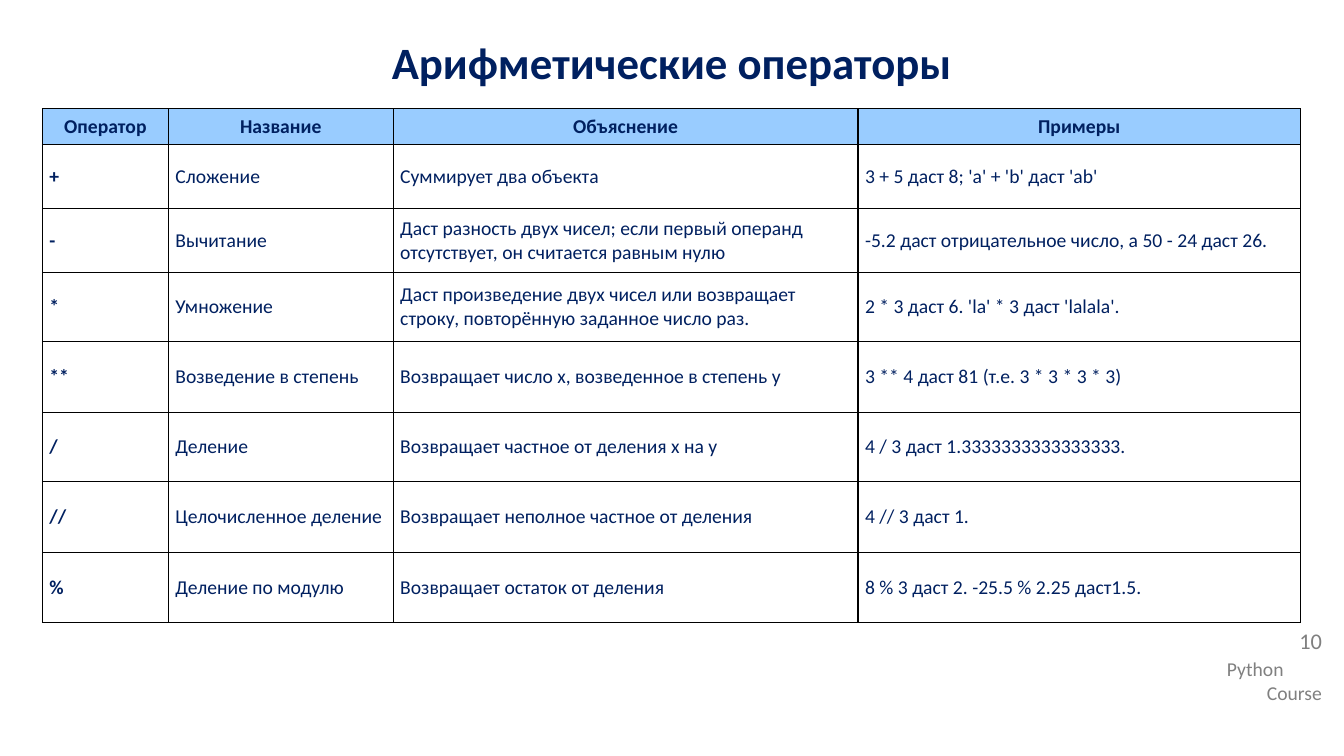
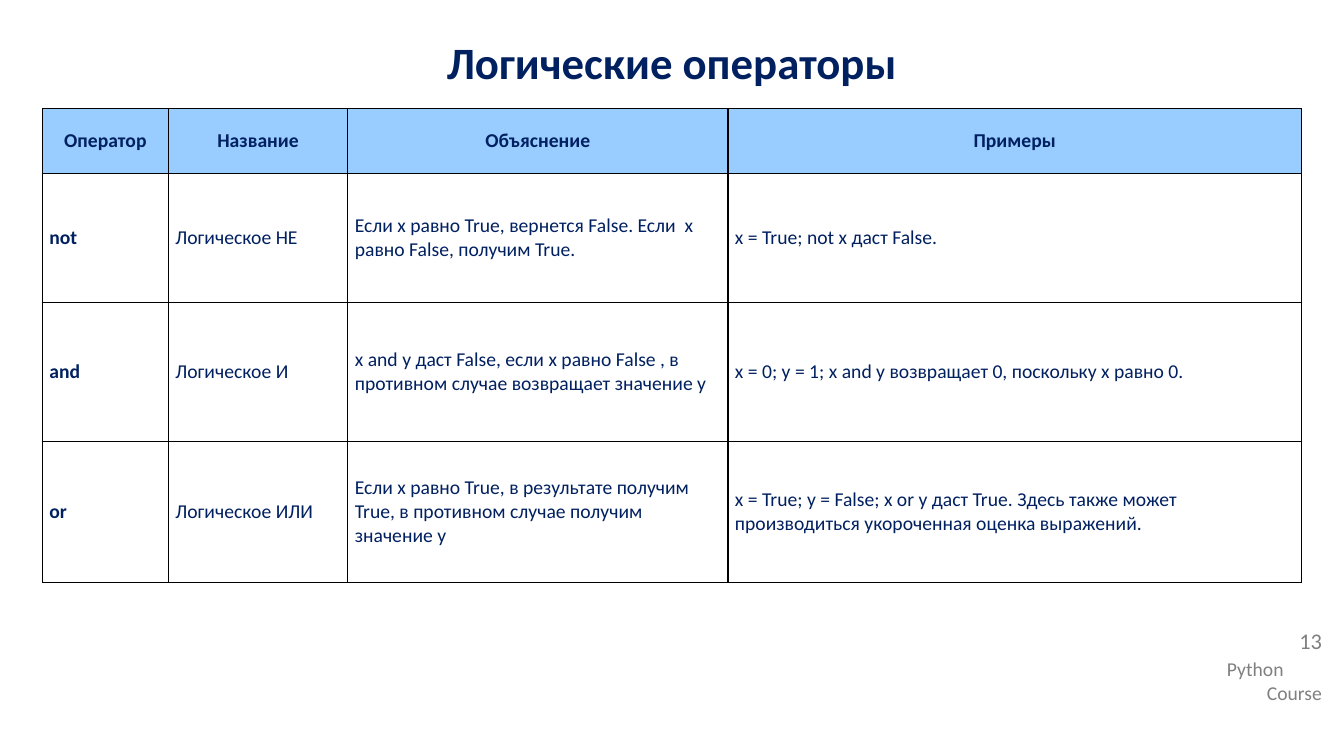
from dataclasses import dataclass

from lxml import etree
from pptx import Presentation
from pptx.dml.color import RGBColor
from pptx.enum import text
from pptx.oxml.ns import qn
from pptx.util import Inches, Pt


@dataclass(frozen=True)
class Theme:
    font: str = "Calibri"
    navy: str = "002060"
    gray: str = "808080"
    header: str = "99CCFF"
    border: str = "000000"
    title_size: int = 32
    number_size: int = 16
    body_size: int = 14


theme = Theme()
LEFT, CENTER, RIGHT, JUSTIFY = (
    text.PP_ALIGN.LEFT, text.PP_ALIGN.CENTER, text.PP_ALIGN.RIGHT, text.PP_ALIGN.JUSTIFY)
MIDDLE, TOP = text.MSO_ANCHOR.MIDDLE, text.MSO_ANCHOR.TOP


def write(frame, content, size=theme.body_size, color=theme.navy, bold=False,
          alignments=(LEFT,), anchor=TOP, line_spacing=None, space_after=None):
    """Fill a text frame; each line takes its own alignment."""
    frame.word_wrap = True
    frame.vertical_anchor = anchor
    frame.text = content
    for paragraph, alignment in zip(frame.paragraphs, alignments):
        paragraph.alignment = alignment
        paragraph.line_spacing = line_spacing
        paragraph.space_after = space_after
        for run in paragraph.runs:
            run.font.name = theme.font
            run.font.size = Pt(size)
            run.font.bold = bold
            run.font.color.rgb = RGBColor.from_string(color)


def add_borders(cell):
    properties = cell._tc.get_or_add_tcPr()
    for side in ("a:lnL", "a:lnR", "a:lnT", "a:lnB"):
        line = etree.SubElement(properties, qn(side), w=str(Pt(1)))
        fill = etree.SubElement(line, qn("a:solidFill"))
        etree.SubElement(fill, qn("a:srgbClr"), val=theme.border)


# Content
headings = ("Оператор", "Название", "Объяснение", "Примеры")
pages = [
    {
        "title": "Арифметические операторы",
        "number": "10",
        "columns": (1.25, 2.23, 4.61, 4.39),
        "heights": (0.35, 0.64, 0.63, 0.69, 0.7, 0.69, 0.7, 0.7),
        "rows": [
            ("+", "Сложение", "Суммирует два объекта",
             "3 + 5 даст 8; 'a' + 'b' даст 'ab'"),
            ("-", "Вычитание",
             "Даст разность двух чисел; если первый операнд отсутствует, он считается равным нулю",
             "-5.2 даст отрицательное число, а 50 - 24 даст 26."),
            ("*", "Умножение",
             "Даст произведение двух чисел или возвращает строку, повторённую заданное число раз.",
             "2 * 3 даст 6. 'la' * 3 даст 'lalala'."),
            ("**", "Возведение в степень", "Возвращает число х, возведенное в степень y",
             "3 ** 4 даст 81 (т.е. 3 * 3 * 3 * 3)"),
            ("/", "Деление", "Возвращает частное от деления x на y",
             "4 / 3 даст 1.3333333333333333."),
            ("//", "Целочисленное деление", "Возвращает неполное частное от деления",
             "4 // 3 даст 1."),
            ("%", "Деление по модулю", "Возвращает остаток от деления",
             "8 % 3 даст 2. -25.5 % 2.25 даст1.5."),
        ],
    },
    {
        "title": "Логические операторы",
        "number": "13",
        "columns": (1.25, 1.78, 3.77, 5.69),
        "heights": (0.64, 1.28, 1.38, 1.4),
        "rows": [
            ("not", "Логическое НЕ",
             "Если x равно True, вернется False. Если  x равно False, получим True.",
             "x = True; not x даст False."),
            ("and", "Логическое И",
             "x and y даст False, если x равно False , в противном случае возвращает значение y",
             "x = 0; y = 1; x and y возвращает 0, поскольку x равно 0."),
            ("or", "Логическое ИЛИ",
             "Если x равно True, в результате получим True, в противном случае получим значение y",
             "x = True; y = False; x or y даст True. Здесь также может производиться "
             "укороченная оценка выражений."),
        ],
    },
]

presentation = Presentation()
presentation.slide_width = Inches(13.33)
presentation.slide_height = Inches(7.5)

for page in pages:
    slide = presentation.slides.add_slide(presentation.slide_layouts[6])

    # Footer, page number and title
    footer = slide.shapes.add_textbox(Inches(12.07), Inches(6.47), Inches(1.14), Inches(0.57))
    write(footer.text_frame, "Python\nCourse", color=theme.gray, alignments=(LEFT, RIGHT))
    number = slide.shapes.add_textbox(Inches(12.07), Inches(6.2), Inches(1.14), Inches(0.45))
    write(number.text_frame, page["number"], size=theme.number_size, color=theme.gray,
          alignments=(RIGHT,), line_spacing=0.9)
    title = slide.shapes.add_textbox(0, Inches(0.23), presentation.slide_width, Inches(0.76))
    write(title.text_frame, page["title"], size=theme.title_size, bold=True,
          alignments=(CENTER,), anchor=MIDDLE, space_after=Pt(5))

    # Operator table
    rows = [headings, *page["rows"]]
    table = slide.shapes.add_table(
        len(rows), len(headings), Inches(0.42), Inches(1.08),
        Inches(sum(page["columns"])), Inches(sum(page["heights"]))).table
    for column, width in zip(table.columns, page["columns"]):
        column.width = Inches(width)
    for row, height in zip(table.rows, page["heights"]):
        row.height = Inches(height)
    for row_index, row in enumerate(rows):
        for column_index, content in enumerate(row):
            cell = table.cell(row_index, column_index)
            is_header, is_operator = row_index == 0, column_index == 0
            cell.margin_left = cell.margin_right = Inches(0.07)
            cell.margin_top = cell.margin_bottom = 0
            cell.vertical_anchor = MIDDLE
            add_borders(cell)
            if is_header:
                cell.fill.solid()
                cell.fill.fore_color.rgb = RGBColor.from_string(theme.header)
            else:
                cell.fill.background()
            alignment = CENTER if is_header else JUSTIFY if is_operator else LEFT
            write(cell.text_frame, content, bold=is_header or is_operator,
                  alignments=(alignment,), anchor=None)

presentation.save("out.pptx")
